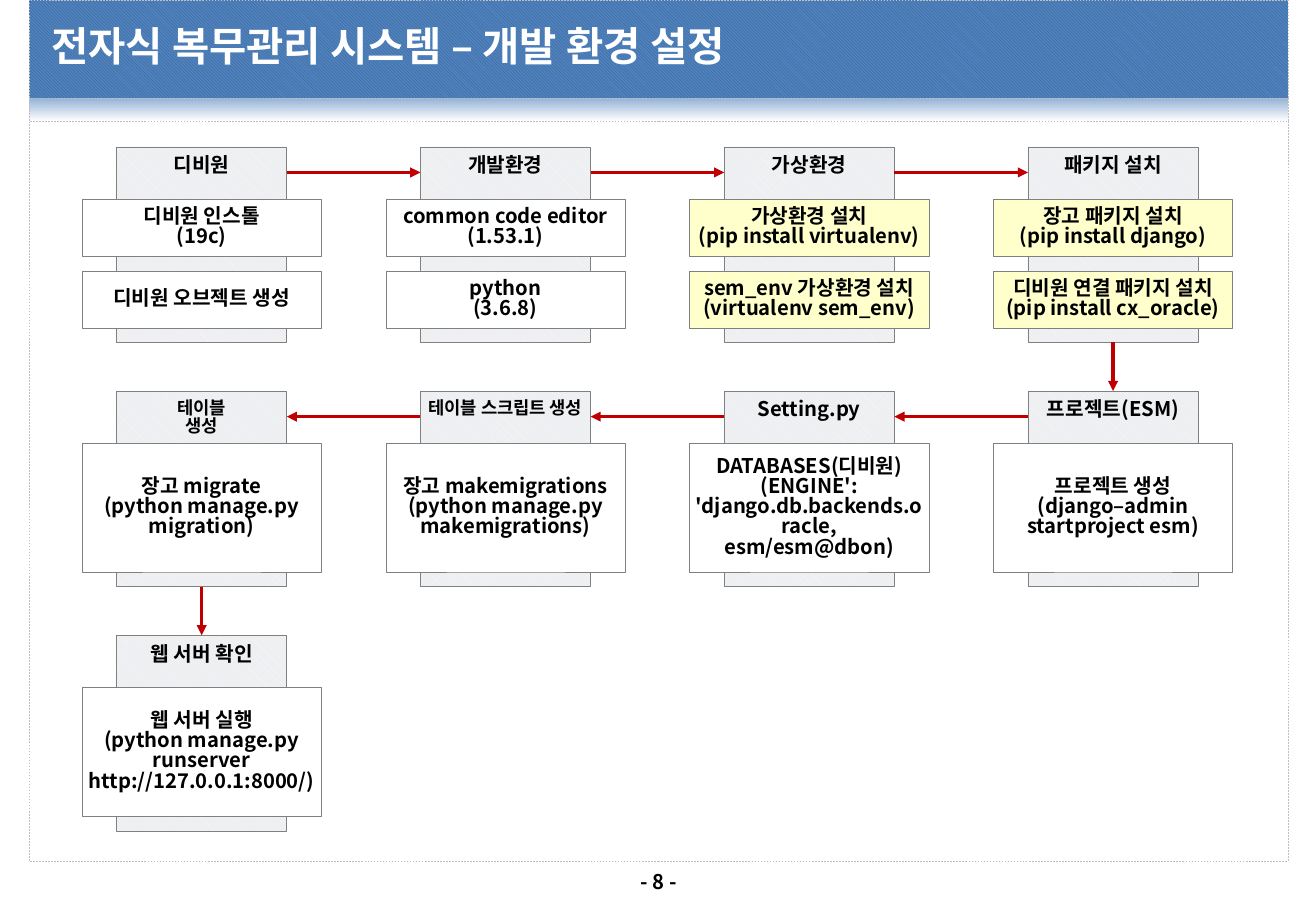
import pptx
import pptx.util
import pptx.dml.color
import pptx.enum.dml
import pptx.enum.shapes
import pptx.enum.text
import pptx.oxml
import pptx.oxml.ns
from pptx.util import Inches

FONT = "Noto Sans CJK KR"
COLORS = {
    "white": "FFFFFF", "black": "000000", "yellow": "FFFFCC",
    "frame": "BFBFBF", "border": "808080", "arrow": "C00000",
    "band": "4F81BD", "band_hatch": "376092", "fade": "95B3D7",
    "panel": "F2F2F2", "panel_hatch": "DCE6F2",
}
ALIGN = pptx.enum.text.PP_ALIGN
ANCHOR = pptx.enum.text.MSO_ANCHOR

LEFT, TOP = 0.96, 1.21
COL_PITCH, ROW_PITCH = 2.5, 2.01
PANEL_W, PANEL_H = 1.4, 1.61
BOX_W, BOX_TOP, BOX_AREA, BOX_GAP = 1.97, 0.43, 1.06, 0.12
ARROW_Y = 0.21

STEPS = [
    (0, 0, "디비원", 12, "white", ["디비원 인스톨\n(19c)", "디비원 오브젝트 생성"]),
    (1, 0, "개발환경", 12, "white", ["common code editor\n(1.53.1)", "python\n(3.6.8)"]),
    (2, 0, "가상환경", 12, "yellow",
     ["가상환경 설치\n(pip install virtualenv)", "sem_env 가상환경 설치\n(virtualenv sem_env)"]),
    (3, 0, "패키지 설치", 12, "yellow",
     ["장고 패키지 설치\n(pip install django)", "디비원 연결 패키지 설치\n(pip install cx_oracle)"]),
    (3, 1, "프로젝트(ESM)", 12, "white", ["프로젝트 생성\n(django–admin startproject esm)"]),
    (2, 1, "Setting.py", 12, "white",
     ["DATABASES(디비원)\n(ENGINE': 'django.db.backends.oracle, esm/esm@dbon)"]),
    (1, 1, "테이블 스크립트 생성", 10.5, "white",
     ["장고 makemigrations\n(python manage.py makemigrations)"]),
    (0, 1, "테이블\n생성", 10.5, "white", ["장고 migrate\n(python manage.py migration)"]),
    (0, 2, "웹 서버 확인", 12, "white",
     ["웹 서버 실행\n(python manage.py runserver\nhttp://127.0.0.1:8000/)"]),
]


def rgb(name):
    """Return the named colour."""
    return pptx.dml.color.RGBColor.from_string(COLORS[name])


def write(sp, text, size=12, color="black", align=ALIGN.CENTER, anchor=ANCHOR.MIDDLE,
          wrap=True, inset_x=0.04, inset_y=0.04):
    """Fill a shape with formatted text, one paragraph per line."""
    tf = sp.text_frame
    tf.text = text
    tf.word_wrap = wrap
    tf.auto_size = pptx.enum.text.MSO_AUTO_SIZE.NONE
    tf.vertical_anchor = anchor
    tf.margin_left = tf.margin_right = Inches(inset_x)
    tf.margin_top = tf.margin_bottom = Inches(inset_y)
    for p in tf.paragraphs:
        p.alignment = align
        p.line_spacing = 0.83
        p.space_before = p.space_after = pptx.util.Pt(0)
        for r in p.runs:
            r.font.size = pptx.util.Pt(size)
            r.font.bold = True
            r.font.color.rgb = rgb(color)
            r.font.name = FONT
            ea = pptx.oxml.parse_xml(f'<a:ea {pptx.oxml.ns.nsdecls("a")} typeface="{FONT}"/>')
            r._r.get_or_add_rPr().append(ea)


def add_rect(shapes, x, y, w, h, fill="white", hatch=None, line="border", dashed=False):
    """Add a thin-lined rectangle, solid or hatched."""
    sp = shapes.add_shape(pptx.enum.shapes.MSO_SHAPE.RECTANGLE,
                          Inches(x), Inches(y), Inches(w), Inches(h))
    sp.shadow.inherit = False
    if hatch:
        sp.fill.patterned()
        sp.fill.pattern = pptx.enum.dml.MSO_PATTERN.LIGHT_DOWNWARD_DIAGONAL
        sp.fill.fore_color.rgb = rgb(hatch)
        sp.fill.back_color.rgb = rgb(fill)
    else:
        sp.fill.solid()
        sp.fill.fore_color.rgb = rgb(fill)
    sp.line.color.rgb = rgb(line)
    sp.line.width = pptx.util.Pt(0.25)
    if dashed:
        sp.line.dash_style = pptx.enum.dml.MSO_LINE.DASH
    return sp


def add_arrow(shapes, x1, y1, x2, y2):
    """Add a red arrow between two points."""
    c = shapes.add_connector(pptx.enum.shapes.MSO_CONNECTOR.STRAIGHT,
                             Inches(x1), Inches(y1), Inches(x2), Inches(y2))
    c.line.color.rgb = rgb("arrow")
    c.line.width = pptx.util.Pt(2)
    ns = pptx.oxml.ns.nsdecls("a")
    c.line._get_or_add_ln().append(pptx.oxml.parse_xml(f'<a:tailEnd {ns} type="triangle"/>'))
    c._element.spPr.append(pptx.oxml.parse_xml(f"<a:effectLst {ns}/>"))


def add_frame(s, x, w, title, page):
    """Draw the title band, the body frame and the page number."""
    add_rect(s.shapes, x, 1, w, 6.09, line="frame", dashed=True)
    add_rect(s.shapes, x, 0, w, 0.81, fill="band", hatch="band_hatch", line="frame", dashed=True)
    fade = add_rect(s.shapes, x, 0.81, w, 0.19, line="frame", dashed=True)
    fade.fill.gradient()
    fade.fill.gradient_angle = 270
    for stop, color, position in zip(fade.fill.gradient_stops, ("fade", "white"), (0, 1)):
        stop.color.rgb = rgb(color)
        stop.position = position

    heading = s.shapes.title
    heading.left, heading.top = Inches(x + 0.14), Inches(0.08)
    heading.width, heading.height = Inches(10.09), Inches(0.66)
    write(heading, title, size=24, color="white", align=ALIGN.LEFT)
    s.shapes.element.append(heading.element)

    number = s.shapes.add_textbox(Inches(x + w / 2 - 0.34), Inches(7.14), Inches(0.68), Inches(0.3))
    write(number, page, anchor=ANCHOR.TOP, wrap=False, inset_x=0.1, inset_y=0.05)


def add_step(s, x, y, head, size, fill, boxes):
    """Draw one step: a hatched panel with its heading and boxes over it."""
    shapes = s.shapes.add_group_shape().shapes
    panel = add_rect(shapes, x, y, PANEL_W, PANEL_H, fill="panel", hatch="panel_hatch")
    write(panel, head, size=size, anchor=ANCHOR.TOP, wrap=False, inset_y=0.08)
    h = (BOX_AREA - BOX_GAP * (len(boxes) - 1)) / len(boxes)
    for i, text in enumerate(boxes):
        box = add_rect(shapes, x - (BOX_W - PANEL_W) / 2, y + BOX_TOP + i * (h + BOX_GAP),
                       BOX_W, h, fill=fill)
        write(box, text, wrap=len(boxes) == 1)


def add_flow(s, left, top):
    """Place the steps on a grid and join each to the next."""
    spots = [(left + step[0] * COL_PITCH, top + step[1] * ROW_PITCH) for step in STEPS]
    for (x, y), step in zip(spots, STEPS):
        add_step(s, x, y, *step[2:])
    for (x1, y1), (x2, y2) in zip(spots, spots[1:]):
        if y1 != y2:
            middle = x1 + PANEL_W / 2
            add_arrow(s.shapes, middle, y1 + PANEL_H, middle, y2)
        elif x1 < x2:
            add_arrow(s.shapes, x1 + PANEL_W, y1 + ARROW_Y, x2, y2 + ARROW_Y)
        else:
            add_arrow(s.shapes, x1, y1 + ARROW_Y, x2 + PANEL_W, y2 + ARROW_Y)


def main():
    """Build and save the slide."""
    prs = pptx.Presentation()
    prs.slide_width, prs.slide_height = Inches(10.83), Inches(7.5)
    s = prs.slides.add_slide(prs.slide_layouts[5])
    add_frame(s, 0.24, 10.36, "전자식 복무관리 시스템 – 개발 환경 설정", "- 8 -")
    add_flow(s, LEFT, TOP)
    prs.save("out.pptx")


if __name__ == "__main__":
    main()
